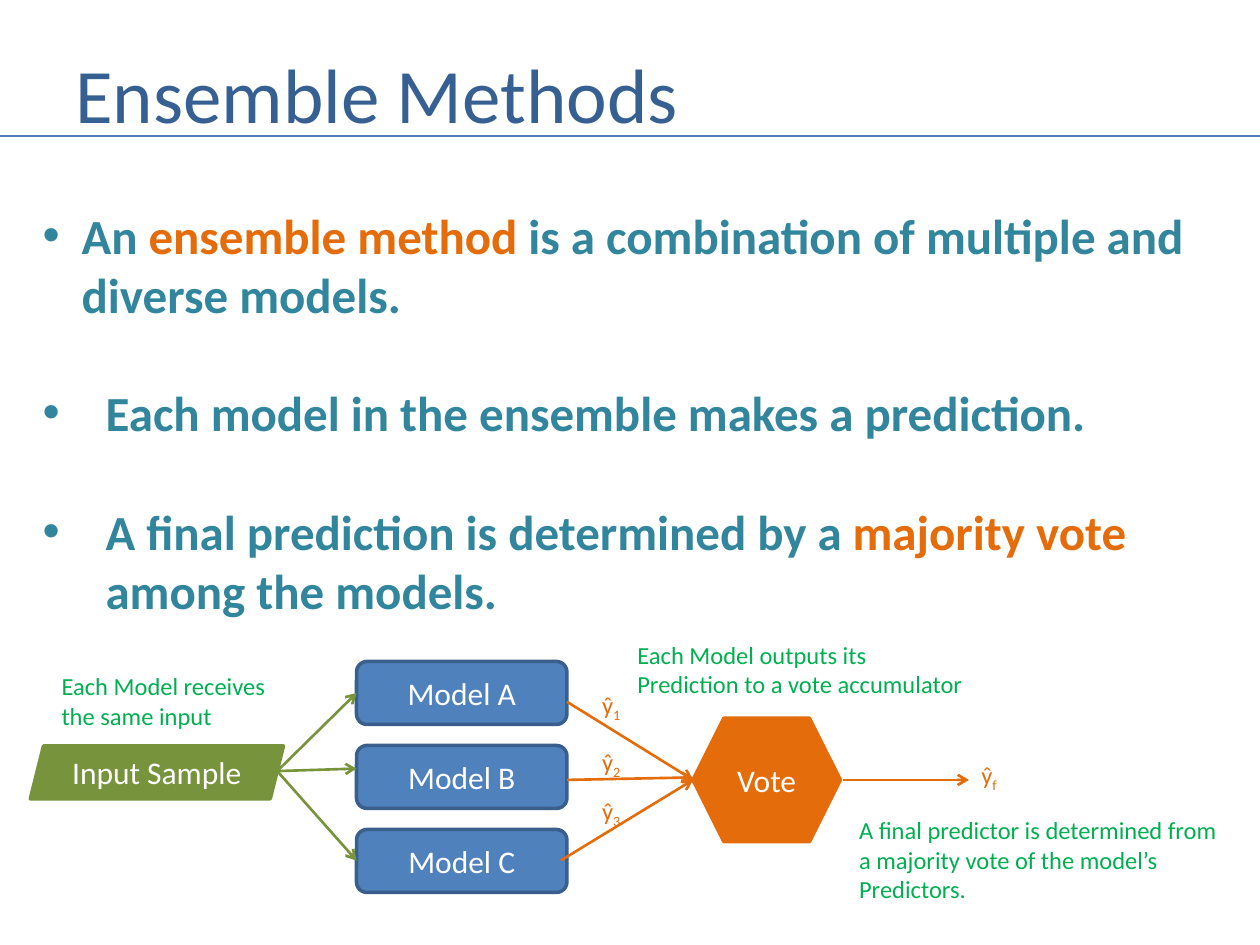
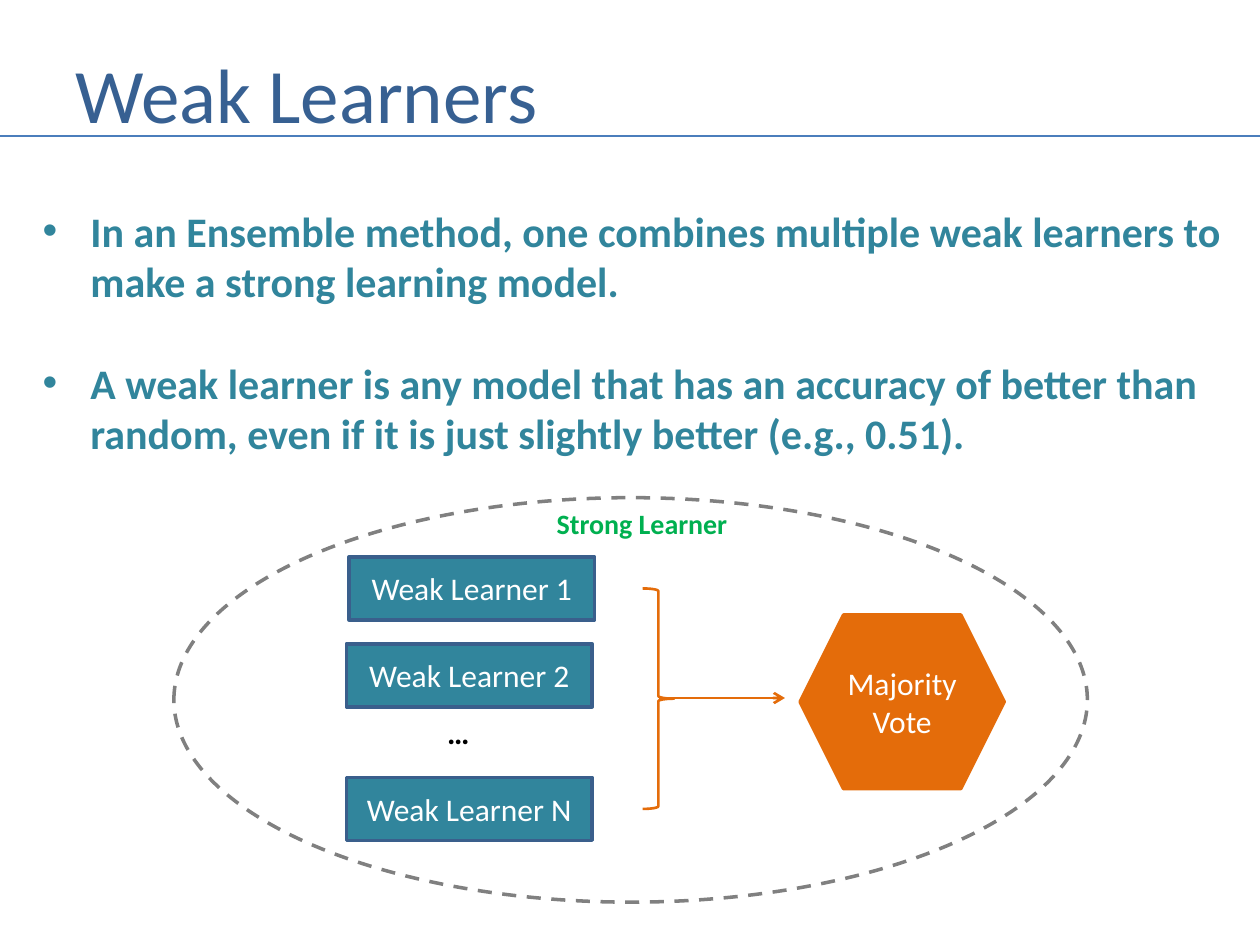
from lxml import etree
from pptx import Presentation
from pptx.dml.color import RGBColor
from pptx.enum import dml, shapes, text
from pptx.oxml import ns
from pptx.util import Inches, Pt

FONT = "Calibri"
TITLE_BLUE = RGBColor(0x37, 0x60, 0x92)
RULE_BLUE = RGBColor(0x4B, 0x7E, 0xBC)
MODEL_BLUE = RGBColor(0x4F, 0x81, 0xBD)
OUTLINE_BLUE = RGBColor(0x3A, 0x5F, 0x8C)
TEAL = RGBColor(0x31, 0x85, 0x9C)
ORANGE = RGBColor(0xE4, 0x6C, 0x0A)
OLIVE = RGBColor(0x77, 0x93, 0x3C)
GREEN = RGBColor(0x00, 0xB0, 0x50)
GRAY = RGBColor(0x80, 0x80, 0x80)
BLACK = RGBColor(0, 0, 0)
WHITE = RGBColor(0xFF, 0xFF, 0xFF)


def write(box, paragraphs, size, bold=False, align=text.PP_ALIGN.LEFT):
    """Fill a box; a paragraph is a list of (words, colour, baseline) runs."""
    frame = box.text_frame
    for number, runs in enumerate(paragraphs):
        para = frame.paragraphs[0] if number == 0 else frame.add_paragraph()
        para.alignment = align
        for words, color, baseline in runs:
            if words == "\n":
                para.add_line_break()
                continue
            span = para.add_run()
            span.text = words
            span.font.name = FONT
            span.font.size = Pt(size)
            span.font.bold = bold
            span.font.color.rgb = color
            if baseline:
                span.font._element.set("baseline", str(baseline * 1000))


def draw_line(page, start, end, color, arrow=True):
    line = page.shapes.add_connector(
        shapes.MSO_CONNECTOR.STRAIGHT, *[Inches(v) for v in (*start, *end)])
    line.line.color.rgb = color
    line.line.width = Pt(1.5)
    if arrow:
        etree.SubElement(line.line._get_or_add_ln(), ns.qn("a:tailEnd"), type="arrow")
    etree.SubElement(line._element.spPr, ns.qn("a:effectLst"))


deck = Presentation()
deck.slide_width, deck.slide_height = Inches(10), Inches(7.5)

# Title, rule and bullets of both slides
ensemble_bullets = [
    (0.31, [("An ", TEAL, 0), ("ensemble method ", ORANGE, 0),
            ("is a combination of multiple and", TEAL, 0), ("\n", TEAL, 0),
            ("diverse models.", TEAL, 0)]),
    (0.5, [("Each model in the ensemble makes a prediction.", TEAL, 0)]),
    (0.5, [("A final prediction is determined by a ", TEAL, 0),
           ("majority vote", ORANGE, 0), ("\n", TEAL, 0),
           ("among the models.", TEAL, 0)]),
]
learner_bullets = [
    (0.38, [("In an Ensemble method, one combines multiple weak learners to", TEAL, 0),
            ("\n", TEAL, 0), ("make a strong learning model.", TEAL, 0)]),
    (0.38, [("A weak learner is any model that has an accuracy of better than", TEAL, 0),
            ("\n", TEAL, 0),
            ("random, even if it is just slightly better (e.g., 0.51).", TEAL, 0)]),
]
pages = []
for title, bullets, size, width, height in [
    ("Ensemble Methods", ensemble_bullets, 28, 9.37, 3.4),
    ("Weak Learners", learner_bullets, 24, 9.64, 2.12),
]:
    page = deck.slides.add_slide(deck.slide_layouts[6])
    pages.append(page)
    box = page.shapes.add_textbox(Inches(0.5), Inches(0.3), Inches(8.5), Inches(0.87))
    box.text_frame.word_wrap = True
    box.text_frame.vertical_anchor = text.MSO_ANCHOR.MIDDLE
    write(box, [[(title, TITLE_BLUE, 0)]], 44)
    draw_line(page, (0, 1.08), (10, 1.08), RULE_BLUE, arrow=False)

    box = page.shapes.add_textbox(Inches(0.24), Inches(1.58), Inches(width), Inches(height))
    box.text_frame.word_wrap = True
    write(box, [runs for indent, runs in bullets], size, bold=True)
    for number, (indent, runs) in enumerate(bullets):
        para = box.text_frame.paragraphs[number]
        props = para._p.get_or_add_pPr()
        props.set("marL", str(Inches(indent)))
        props.set("indent", str(-Inches(indent)))
        etree.SubElement(props, ns.qn("a:buFont"), typeface="Arial")
        etree.SubElement(props, ns.qn("a:buChar"), char="•")
        if number:
            para.space_before = Pt(size * 1.22)
ensemble_page, learner_page = pages

# Filled nodes of both diagrams
kinds = shapes.MSO_SHAPE
nodes = [
    (ensemble_page, kinds.PARALLELOGRAM, "Input Sample", (0.24, 5.92, 2.01, 0.42), OLIVE, OLIVE),
    (ensemble_page, kinds.HEXAGON, "Vote", (5.5, 5.7, 1.17, 0.98), ORANGE, ORANGE),
    (learner_page, kinds.HEXAGON, "Majority Vote", (6.35, 4.88, 1.62, 1.38), ORANGE, ORANGE),
]
for row, letter in enumerate("ABC"):
    nodes.append((ensemble_page, kinds.ROUNDED_RECTANGLE, f"Model {letter}",
                  (2.83, 5.25 + row * 2 / 3, 1.67, 0.5), MODEL_BLUE, OUTLINE_BLUE))
for name, left, top in [("1", 2.77, 4.42), ("2", 2.75, 5.11), ("N", 2.75, 6.17)]:
    nodes.append((learner_page, kinds.RECTANGLE, f"Weak Learner {name}",
                  (left, top, 1.95, 0.5), TEAL, OUTLINE_BLUE))
for page, kind, words, place, fill, outline in nodes:
    node = page.shapes.add_shape(kind, *[Inches(v) for v in place])
    node.shadow.inherit = False
    node.fill.solid()
    node.fill.fore_color.rgb = fill
    node.line.color.rgb = outline
    node.line.width = Pt(2)
    node.text_frame.word_wrap = True
    node.text_frame.vertical_anchor = text.MSO_ANCHOR.MIDDLE
    write(node, [[(words, WHITE, 0)]], 18, align=text.PP_ALIGN.CENTER)

# Brace and dashed ellipse around the weak learners
for kind, place, color, weight, dash in [
    (kinds.RIGHT_BRACE, (5.1, 4.67, 0.25, 1.75), ORANGE, 1.5, None),
    (kinds.OVAL, (1.38, 3.95, 7.25, 3.21), GRAY, 2, dml.MSO_LINE.DASH),
]:
    outline = learner_page.shapes.add_shape(kind, *[Inches(v) for v in place])
    outline.shadow.inherit = False
    outline.fill.background()
    outline.line.color.rgb = color
    outline.line.width = Pt(weight)
    outline.line.dash_style = dash

# Arrows: input to models, models to vote, vote to result
for model_y in (5.5, 6.1, 6.83):
    draw_line(ensemble_page, (2.2, 6.12), (2.83, model_y), OLIVE)
for start, end in [((4.5, 5.57), (5.5, 6.19)), ((4.5, 6.19), (5.5, 6.17)),
                   ((4.45, 6.83), (5.5, 6.19)), ((6.69, 6.19), (7.69, 6.19))]:
    draw_line(ensemble_page, start, end, ORANGE)
draw_line(learner_page, (5.23, 5.54), (6.23, 5.54), ORANGE)

# Notes and prediction labels
labels = [
    (ensemble_page, (0.39, 5.28, 1.84, 0.57), 14, False,
     [[("Each Model receives", GREEN, 0)], [("the same input", GREEN, 0)]]),
    (ensemble_page, (4.96, 5.03, 2.85, 0.57), 14, False,
     [[("Each Model outputs its", GREEN, 0)],
      [("Prediction to a vote accumulator", GREEN, 0)]]),
    (ensemble_page, (6.72, 6.42, 3.06, 0.81), 14, False,
     [[("A final predictor is determined from", GREEN, 0)],
      [("a majority vote of the model’s", GREEN, 0)], [("Predictors.", GREEN, 0)]]),
    (learner_page, (3.45, 5.61, 0.38, 0.4), 18, True, [[("…", BLACK, 0)]]),
    (learner_page, (4.32, 3.97, 1.58, 0.37), 16, True, [[("Strong Learner", GREEN, 0)]]),
]
for index, left, top, width in [("1", 4.68, 5.43, 0.36), ("2", 4.68, 5.88, 0.36),
                                ("3", 4.68, 6.27, 0.36), ("f", 7.69, 5.98, 0.33)]:
    labels.append((ensemble_page, (left, top, width, 0.34), 14, False,
                   [[("ŷ", ORANGE, 0), (index, ORANGE, -25)]]))
for page, place, size, bold, paragraphs in labels:
    box = page.shapes.add_textbox(*[Inches(v) for v in place])
    box.text_frame.word_wrap = False
    write(box, paragraphs, size, bold)

deck.save("out.pptx")
